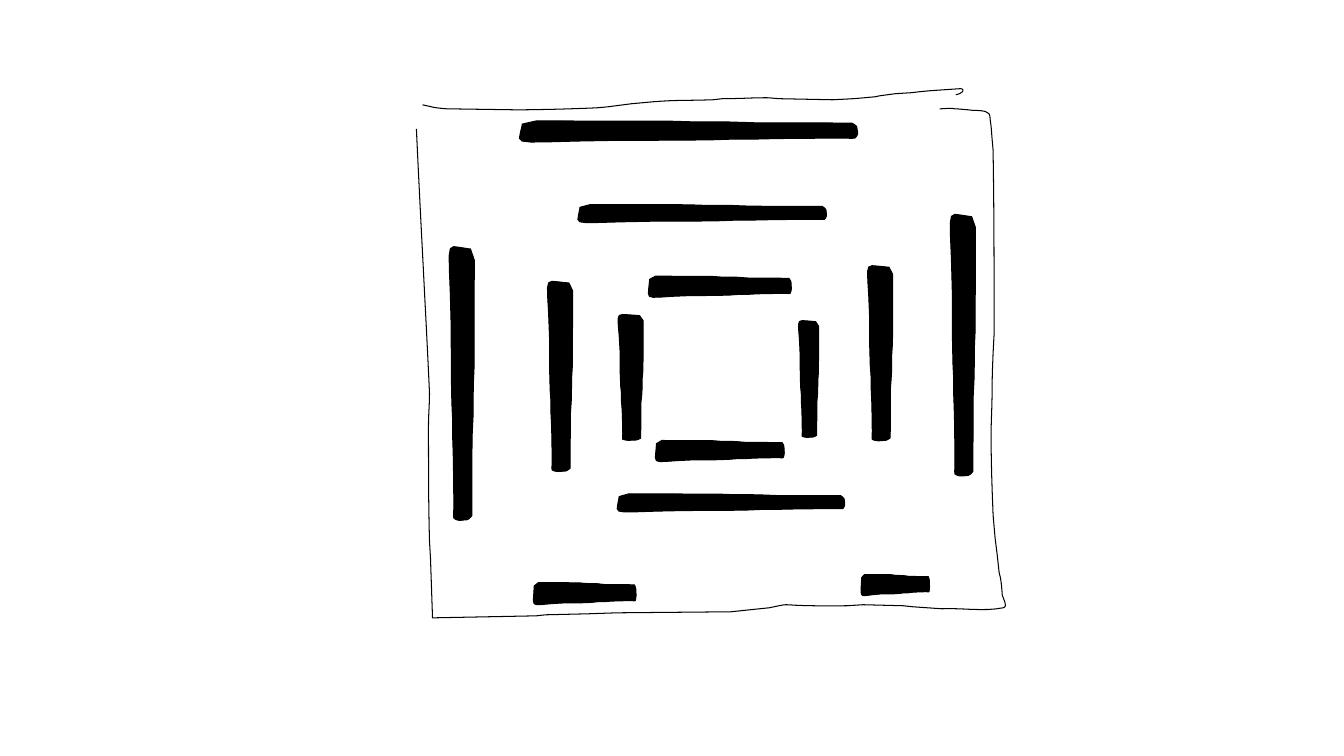
"""Build a slide of nested hand-drawn bars inside a sketched square frame."""
from dataclasses import dataclass

from pptx import Presentation
from pptx.dml.color import RGBColor
from pptx.util import Pt

SLIDE_SIZE = (1333, 750)
EMU_PER_PX = 9144
CURVE_STEPS = 8

HORIZONTAL_BARS = [
    (515, 120, 336, 21),
    (573, 203, 247, 18),
    (643, 274, 142, 21),
    (650, 437, 128, 21),
    (612, 490, 226, 18),
    (529, 578, 102, 22),
    (854, 570, 68, 21),
]
UPRIGHT_BARS = [
    (322, 368, 272, 25),
    (461, 361, 189, 25),
    (563, 362, 125, 25),
    (744, 366, 116, 20),
    (786, 338, 174, 25),
    (825, 330, 260, 25),
]

# Two numbers make a straight step, six make a Bezier curve; bar units are thousandths.
BAR_PROFILE = [
    (50, 0), (443, 10), (506, 40), (619, 50), (699, 90), (982, 100),
    (991, 190, 997, 240, 997, 330),
    (997, 480, 1004, 620, 991, 810),
    (985, 830, 961, 810, 946, 810),
    (860, 820, 775, 820, 690, 860),
    (628, 860), (571, 890), (470, 910),
    (-66, 860, -3, 1430, 9, 190),
    (9, 150),
]
TOP_STROKE = [
    (948, 94),
    (949, 94, 956, 92, 955, 89),
    (954, 88, 953, 88, 952, 88),
    (923, 90), (912, 91), (904, 92), (888, 93), (873, 95), (868, 96),
    (848, 98, 846, 98, 826, 99),
    (775, 98),
    (770, 98, 765, 97, 760, 97),
    (745, 97, 731, 98, 716, 98),
    (707, 99),
    (679, 100, 672, 99, 648, 101),
    (626, 103), (603, 106), (592, 107),
    (571, 108, 532, 109, 514, 109),
    (444, 108),
    (442, 108, 431, 107, 428, 106),
    (419, 104),
]
FRAME_STROKE = [
    (413, 128),
    (417, 216, 422, 303, 426, 390),
    (426, 401, 425, 412, 425, 423),
    (425, 461, 425, 499, 426, 537),
    (427, 554), (429, 613), (532, 611), (541, 610), (583, 609),
    (612, 608), (725, 607), (744, 605), (763, 603),
    (792, 597, 762, 602, 840, 601),
    (856, 600), (896, 601), (905, 602), (934, 604),
    (954, 603, 975, 607, 995, 603),
    (1000, 602, 995, 594, 994, 590),
    (994, 587, 993, 576, 992, 572),
    (991, 568), (989, 550), (987, 534), (985, 511),
    (984, 486, 983, 458, 983, 433),
    (983, 418, 984, 403, 984, 387),
    (984, 371, 985, 348, 986, 332),
    (986, 271, 986, 210, 985, 149),
    (984, 138), (983, 125), (982, 118),
    (982, 117, 982, 115, 981, 113),
    (980, 112, 979, 112, 978, 111),
    (973, 109, 964, 110, 961, 109),
    (958, 109, 951, 108, 947, 108),
    (942, 107, 937, 108, 932, 108),
]


@dataclass(frozen=True)
class Theme:
    ink: RGBColor = RGBColor(0, 0, 0)
    paper: RGBColor = RGBColor(255, 255, 255)
    line_width: int = Pt(0.75)


THEME = Theme()


def flatten(steps):
    points = [steps[0]]
    for step in steps[1:]:
        if len(step) == 2:
            points.append(step)
            continue
        corners = list(zip((points[-1] + step)[::2], (points[-1] + step)[1::2]))
        for index in range(1, CURVE_STEPS + 1):
            t = index / CURVE_STEPS
            weights = ((1 - t) ** 3, 3 * t * (1 - t) ** 2, 3 * t * t * (1 - t), t ** 3)
            points.append(tuple(
                sum(weight * corner[axis] for weight, corner in zip(weights, corners))
                for axis in (0, 1)
            ))
    return points


def draw_stroke(slide, points, fill=None, close=False):
    scaled = [(round(x * EMU_PER_PX), round(y * EMU_PER_PX)) for x, y in points]
    builder = slide.shapes.build_freeform(*scaled[0], scale=1.0)
    builder.add_line_segments(scaled[1:], close=close)
    shape = builder.convert_to_shape()
    shape.shadow.inherit = False
    if fill is None:
        shape.fill.background()
    else:
        shape.fill.solid()
        shape.fill.fore_color.rgb = fill
    shape.line.color.rgb = THEME.ink
    shape.line.width = THEME.line_width
    return shape


def draw_bar(slide, box, rotation):
    left, top, width, height = box
    points = [(left + u * width / 1000, top + v * height / 1000)
              for u, v in flatten(BAR_PROFILE)]
    shape = draw_stroke(slide, points, THEME.ink, close=True)
    shape.rotation = rotation


def main():
    presentation = Presentation()
    presentation.slide_width, presentation.slide_height = (
        side * EMU_PER_PX for side in SLIDE_SIZE
    )
    slide = presentation.slides.add_slide(presentation.slide_layouts[6])
    slide.background.fill.solid()
    slide.background.fill.fore_color.rgb = THEME.paper
    draw_stroke(slide, flatten(TOP_STROKE))
    draw_stroke(slide, flatten(FRAME_STROKE), THEME.paper)
    for boxes, rotation in ((HORIZONTAL_BARS, 0), (UPRIGHT_BARS, 90)):
        for box in boxes:
            draw_bar(slide, box, rotation)
    presentation.save("out.pptx")


if __name__ == "__main__":
    main()
